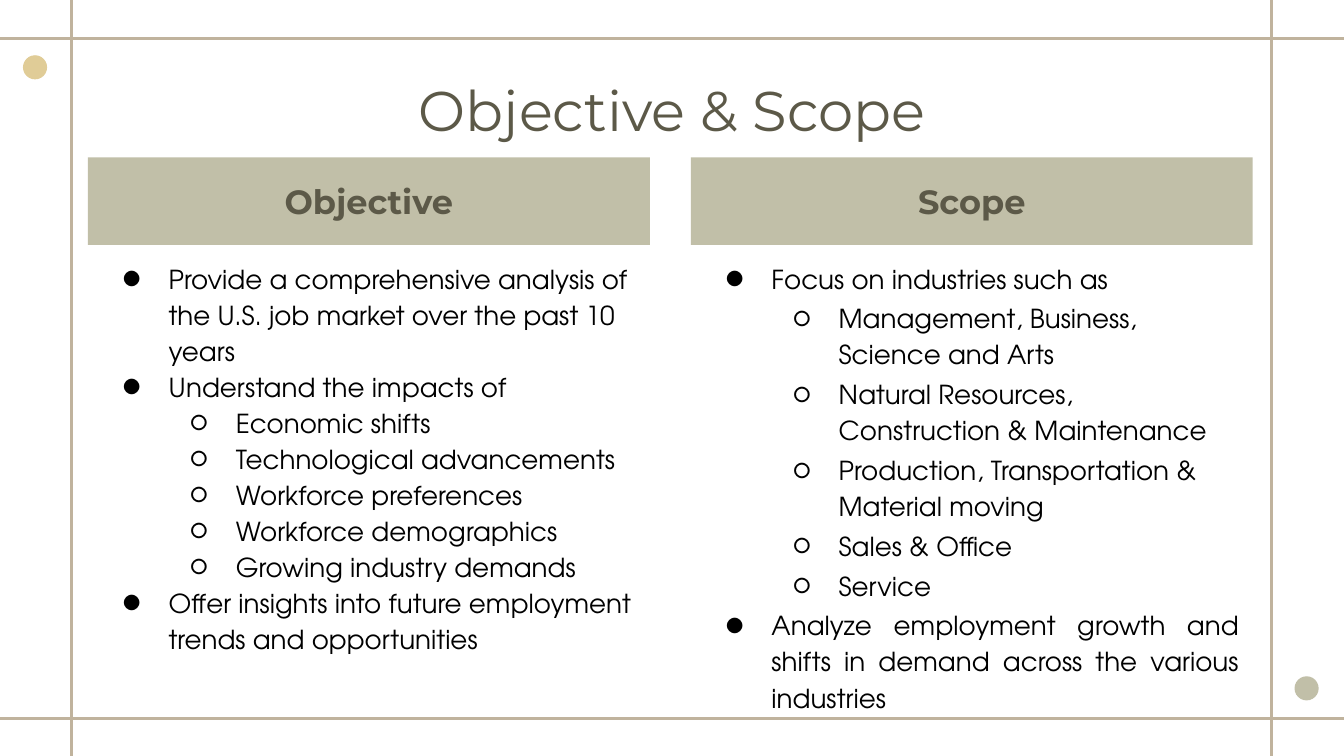
from lxml.etree import SubElement
from pptx import Presentation
from pptx.dml.color import RGBColor
from pptx.enum.shapes import MSO_CONNECTOR, MSO_SHAPE
from pptx.enum.text import MSO_ANCHOR, MSO_AUTO_SIZE, PP_ALIGN
from pptx.oxml.ns import qn
from pptx.util import Pt

OLIVE = RGBColor(0x5C, 0x59, 0x48)
SAGE = RGBColor(0xC1, 0xBF, 0xA8)
SAND = RGBColor(0xE0, 0xCC, 0x97)
TAUPE = RGBColor(0xC0, 0xB3, 0x9D)
BLACK = RGBColor(0, 0, 0)

HEADING_FONT = "Montserrat"
BODY_FONT = "TeX Gyre Adventor"

SLIDE_W, SLIDE_H = 720, 405
COLUMN_W, HEADER_TOP, HEADER_H = 301, 84.3, 46.9
LIST_TOP, LIST_H = HEADER_TOP + HEADER_H, 240
BULLETS = "●○"

# Each list item is (level, text).
OBJECTIVES = [
    (0, "Provide a comprehensive analysis of the U.S. job market over the past 10 years"),
    (0, "Understand the impacts of"),
    (1, "Economic shifts"),
    (1, "Technological advancements"),
    (1, "Workforce preferences"),
    (1, "Workforce demographics"),
    (1, "Growing industry demands"),
    (0, "Offer insights into future employment trends and opportunities"),
]
SCOPE = [
    (0, "Focus on industries such as"),
    (1, "Management, Business, Science and Arts"),
    (1, "Natural Resources, Construction & Maintenance"),
    (1, "Production, Transportation & Material moving"),
    (1, "Sales & Office"),
    (1, "Service"),
    (0, "Analyze employment growth and shifts in demand across the various industries"),
]


def add_rule(slide, x1, y1, x2, y2):
    rule = slide.shapes.add_connector(
        MSO_CONNECTOR.STRAIGHT, Pt(x1), Pt(y1), Pt(x2), Pt(y2))
    rule.line.color.rgb = TAUPE
    rule.line.width = Pt(1.5)
    SubElement(rule._element.spPr, qn("a:effectLst"))


def add_dot(slide, left, top, color):
    dot = slide.shapes.add_shape(
        MSO_SHAPE.OVAL, Pt(left), Pt(top), Pt(12.2), Pt(12.2))
    dot.shadow.inherit = False
    dot.fill.solid()
    dot.fill.fore_color.rgb = color
    dot.line.color.rgb = color
    dot.line.width = Pt(0.75)


def place(holder, left, top, width, height, anchor):
    """Move a placeholder and return its text frame, ready for text."""
    holder.left, holder.top = Pt(left), Pt(top)
    holder.width, holder.height = Pt(width), Pt(height)
    frame = holder.text_frame
    frame.word_wrap = True
    frame.auto_size = MSO_AUTO_SIZE.NONE
    frame.vertical_anchor = anchor
    frame.margin_left = frame.margin_right = Pt(7.2)
    frame.margin_top = frame.margin_bottom = Pt(7.2)
    return frame


def add_run(paragraph, text, font_name, size, color, bold=False):
    run = paragraph.add_run()
    run.text = text
    run.font.name = font_name
    run.font.size = Pt(size)
    run.font.color.rgb = color
    run.font.bold = bold


def write_heading(frame, text, size, bold=False):
    heading = frame.paragraphs[0]
    heading.alignment = PP_ALIGN.CENTER
    heading.space_before = Pt(0)
    add_run(heading, text, HEADING_FONT, size, OLIVE, bold)


def set_bullet(paragraph, level):
    props = paragraph._p.get_or_add_pPr()
    props.set("marL", str(Pt(36 * (level + 1))))
    props.set("indent", str(-Pt(25)))
    bullet_color = SubElement(props, qn("a:buClr"))
    SubElement(bullet_color, qn("a:srgbClr"), val=str(BLACK))
    SubElement(props, qn("a:buFont"), typeface=BODY_FONT)
    SubElement(props, qn("a:buChar"), char=BULLETS[level])


def write_list(frame, items, gap):
    for number, (level, text) in enumerate(items):
        item = frame.add_paragraph() if number else frame.paragraphs[0]
        set_bullet(item, level)
        item.level = level
        item.alignment = PP_ALIGN.LEFT
        item.line_spacing = 1.15
        item.space_before = Pt(gap if number else 0)
        add_run(item, text, BODY_FONT, 14, BLACK)


def fill_column(header, body, left, heading, items, gap):
    header.fill.solid()
    header.fill.fore_color.rgb = SAGE
    header_frame = place(header, left, HEADER_TOP, COLUMN_W, HEADER_H, MSO_ANCHOR.MIDDLE)
    write_heading(header_frame, heading, 18, bold=True)
    body_frame = place(body, left, LIST_TOP, COLUMN_W, LIST_H, MSO_ANCHOR.TOP)
    write_list(body_frame, items, gap)
    return body_frame


def main():
    deck = Presentation()
    deck.slide_width, deck.slide_height = Pt(SLIDE_W), Pt(SLIDE_H)
    slide = deck.slides.add_slide(deck.slide_layouts.get_by_name("Comparison"))

    for y in (20.6, 385):
        add_rule(slide, 0, y, SLIDE_W, y)
    for x in (38.3, 681.2):
        add_rule(slide, x, 0, x, SLIDE_H)
    add_dot(slide, 12.7, 30, SAND)
    add_dot(slide, 693.9, 362.7, SAGE)

    title, left_header, left_body, right_header, right_body = list(slide.placeholders)[:5]
    title_frame = place(title, 56.7, 35.6, 606.6, 45.4, MSO_ANCHOR.MIDDLE)
    write_heading(title_frame, "Objective & Scope", 30)
    fill_column(left_header, left_body, 47.1, "Objective", OBJECTIVES, gap=0)
    scope_frame = fill_column(right_header, right_body, 370.1, "Scope", SCOPE, gap=2)
    scope_frame.paragraphs[-1].alignment = PP_ALIGN.JUSTIFY

    deck.save("out.pptx")


if __name__ == "__main__":
    main()
